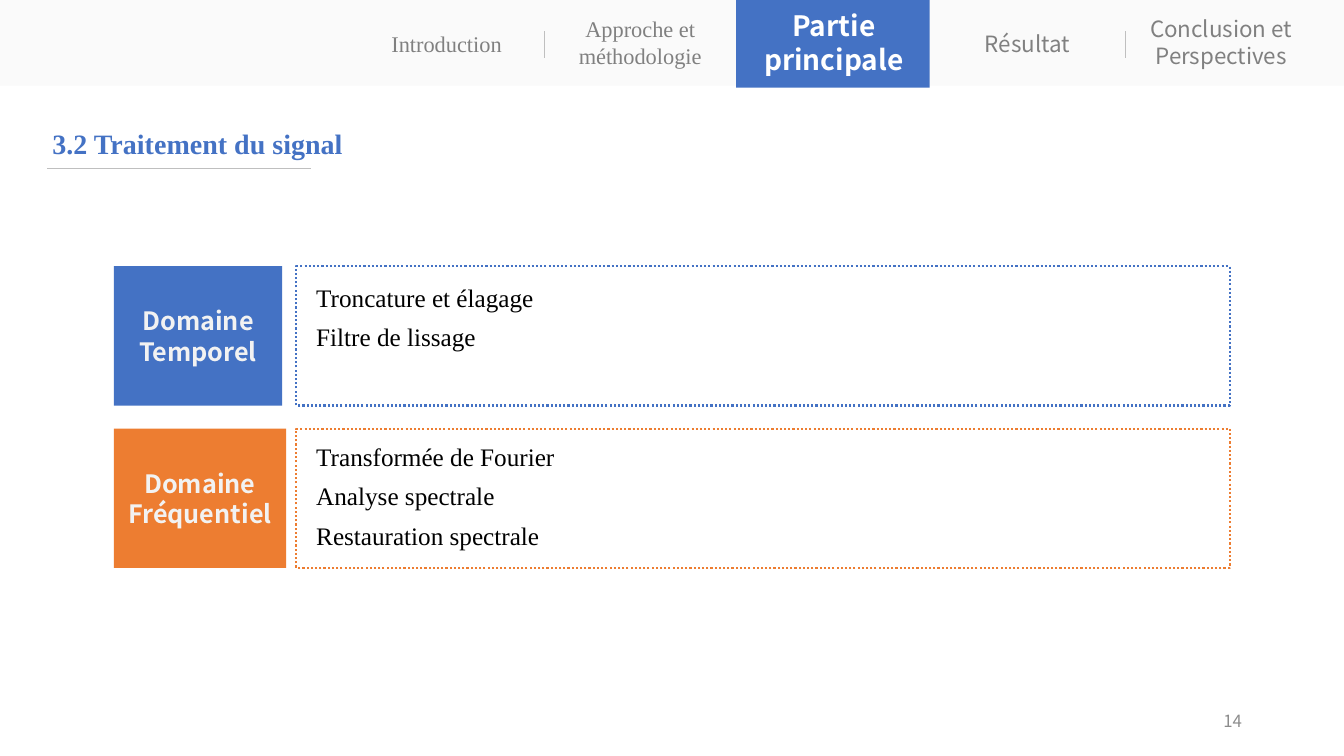
import pptx
import pptx.dml.color
import pptx.enum.dml
import pptx.enum.shapes
import pptx.enum.text
import pptx.oxml
import pptx.util

Cm = pptx.util.Cm
Pt = pptx.util.Pt
RGBColor = pptx.dml.color.RGBColor
Align = pptx.enum.text.PP_ALIGN
Anchor = pptx.enum.text.MSO_ANCHOR

BLUE = RGBColor(0x44, 0x72, 0xC4)
ORANGE = RGBColor(0xED, 0x7D, 0x31)
BAR = RGBColor(0xFA, 0xFA, 0xFA)
RULE = RGBColor(0xBF, 0xBF, 0xBF)
MUTED = RGBColor(0x80, 0x80, 0x80)
NUMBER = RGBColor(0x8C, 0x8C, 0x8C)
PALE = RGBColor(0xF2, 0xF2, 0xF2)
WHITE = RGBColor(0xFF, 0xFF, 0xFF)
BLACK = RGBColor(0, 0, 0)

SERIF = "Times New Roman"
SANS = "Noto Sans CJK SC"

NAV_LEFT, NAV_STEP, NAV_WIDTH = 8.79, 4.88, 4.93
NAV = [
    ("Introduction", SERIF, 0.61, 0.97),
    ("Approche et méthodologie", SERIF, 0.25, 1.63),
    ("Partie principale", SANS, 0.08, 1.98),
    ("Résultat", SANS, 0.61, 0.97),
    ("Conclusion et Perspectives", SANS, 0.25, 1.63),
]
ACTIVE = 2

DOMAINS = [
    (6.71, 4.24, 6.76, BLUE, ["Domaine", "Temporel"],
     ["Troncature et élagage", "Filtre de lissage"]),
    (10.8, 4.34, 10.77, ORANGE, ["Domaine Fréquentiel"],
     ["Transformée de Fourier", "Analyse spectrale", "Restauration spectrale"]),
]


def write(sp, lines, name, size, color, bold=False, align=Align.LEFT,
          anchor=Anchor.TOP, spacing=None, side=0.25):
    tf = sp.text_frame
    frame = {"word_wrap": True, "vertical_anchor": anchor,
             "margin_left": Cm(side), "margin_right": Cm(side)}
    for key, value in frame.items():
        setattr(tf, key, value)
    font = {"name": name, "size": Pt(size), "bold": bold}
    for i, line in enumerate(lines):
        p = tf.paragraphs[0] if i == 0 else tf.add_paragraph()
        p.alignment = align
        p.line_spacing = spacing
        r = p.add_run()
        r.text = line
        for key, value in font.items():
            setattr(r.font, key, value)
        r.font.color.rgb = color


def add_text(shapes, box, lines, *style, **layout):
    sp = shapes.add_textbox(*map(Cm, box))
    write(sp, lines, *style, **layout)


def add_block(shapes, box, color):
    sp = shapes.add_shape(pptx.enum.shapes.MSO_SHAPE.RECTANGLE, *map(Cm, box))
    sp.shadow.inherit = False
    sp.fill.solid()
    sp.fill.fore_color.rgb = color
    sp.line.fill.background()
    return sp


def add_dotted_frame(shapes, box, color):
    sp = shapes.add_shape(pptx.enum.shapes.MSO_SHAPE.RECTANGLE, *map(Cm, box))
    sp.shadow.inherit = False
    sp.fill.background()
    sp.line.color.rgb = color
    line = {"width": Pt(1.5),
            "dash_style": pptx.enum.dml.MSO_LINE.ROUND_DOT}
    for key, value in line.items():
        setattr(sp.line, key, value)


def add_rule(shapes, *ends):
    straight = pptx.enum.shapes.MSO_CONNECTOR.STRAIGHT
    rule = shapes.add_connector(straight, *map(Cm, ends))
    rule.line.color.rgb = RULE
    rule.line.width = Pt(0.5)
    effects = pptx.oxml.parse_xml(
        '<a:effectLst xmlns:a="http://schemas.openxmlformats.org/drawingml/2006/main"/>')
    rule._element.spPr.append(effects)


def add_domain(s, top, width, text_top, color, label, items):
    shapes = s.shapes.add_group_shape().shapes
    sp = add_block(shapes, (2.87, top, width, 3.51), color)
    write(sp, label, SANS, 18, PALE, bold=True, align=Align.CENTER,
          anchor=Anchor.MIDDLE)
    add_dotted_frame(shapes, (7.47, top, 23.52, 3.51), color)
    add_text(shapes, (7.72, text_top, 22.9, 3.15), items, SERIF, 18, BLACK,
             spacing=1.3)


def add_navigation(s):
    for x in (13.72, 28.35):
        add_rule(s.shapes, x, 0.79, x, 1.47)
    active_left = NAV_LEFT + ACTIVE * NAV_STEP
    add_block(s.shapes, (active_left, 0, NAV_STEP, 2.21), BLUE)
    for i, (label, name, top, height) in enumerate(NAV):
        active = i == ACTIVE
        box = (NAV_LEFT + i * NAV_STEP, top, NAV_WIDTH, height)
        add_text(s.shapes, box, [label], name, 20 if active else 16,
                 WHITE if active else MUTED, bold=active,
                 align=Align.CENTER, anchor=Anchor.MIDDLE, side=0)


def main():
    prs = pptx.Presentation()
    prs.slide_width, prs.slide_height = Cm(33.87), Cm(19.05)
    s = prs.slides.add_slide(prs.slide_layouts[6])
    add_block(s.shapes, (0, -0.05, 33.87, 2.21), BAR)
    add_rule(s.shapes, 1.19, 4.24, 7.85, 4.24)
    add_text(s.shapes, (1.32, 3.07, 10.57, 1.12), ["3.2 Traitement du signal"],
             SERIF, 20, BLUE, bold=True, side=0)
    for domain in DOMAINS:
        add_domain(s, *domain)
    add_text(s.shapes, (23.93, 17.65, 7.62, 1.02), ["14"], SANS, 12, NUMBER,
             align=Align.RIGHT, anchor=Anchor.MIDDLE)
    add_navigation(s)
    prs.save("out.pptx")


if __name__ == "__main__":
    main()
